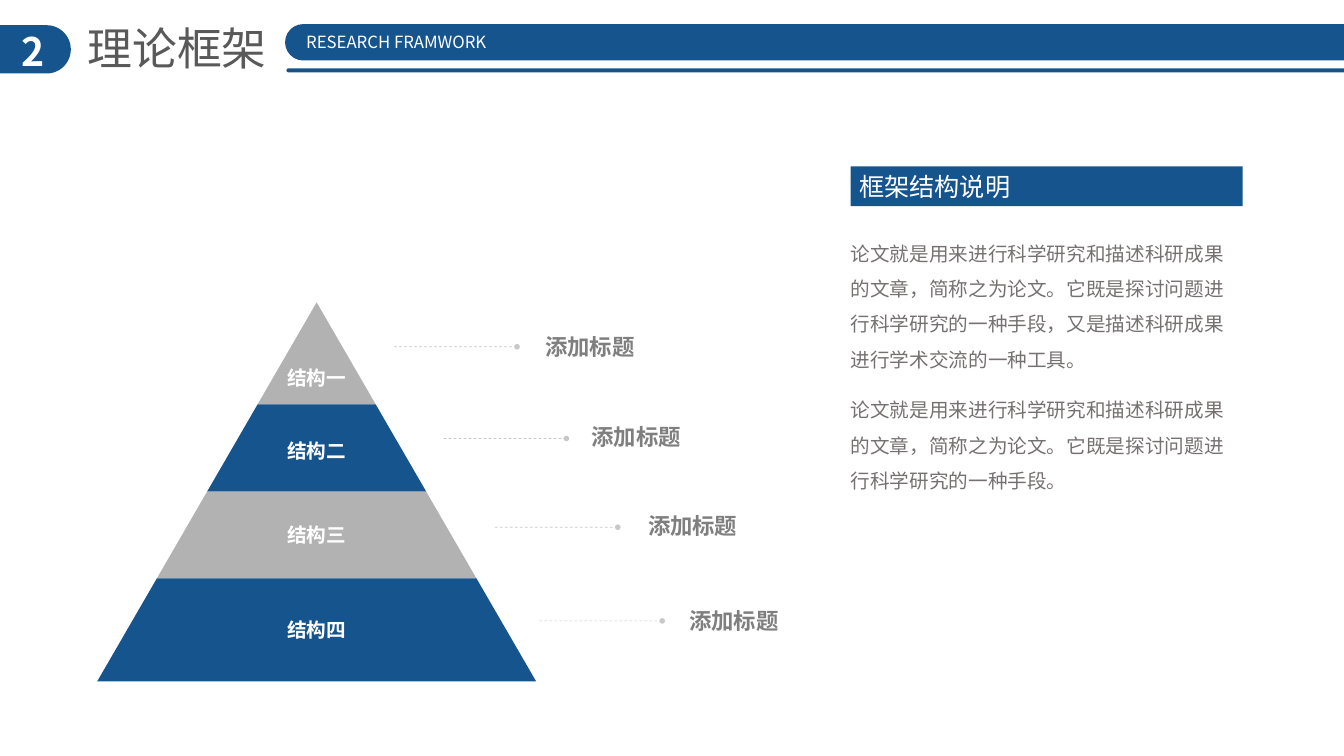
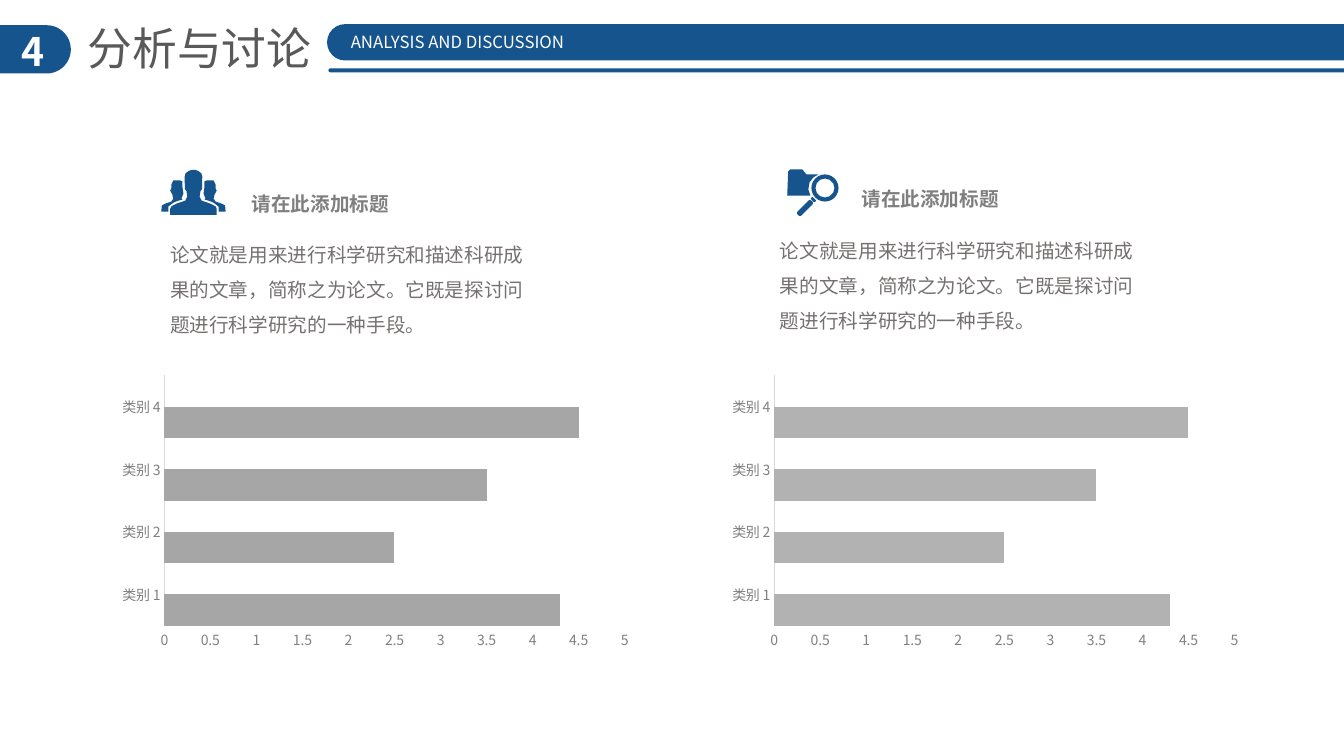
from lxml import etree
from pptx import Presentation
from pptx.chart.data import CategoryChartData
from pptx.dml.color import RGBColor
from pptx.enum.chart import XL_CHART_TYPE, XL_TICK_MARK
from pptx.enum.dml import MSO_LINE
from pptx.enum.shapes import MSO_CONNECTOR, MSO_SHAPE
from pptx.enum.text import MSO_ANCHOR, MSO_AUTO_SIZE, PP_ALIGN
from pptx.oxml.ns import qn
from pptx.util import Pt

RECTANGLE = MSO_SHAPE.RECTANGLE
ROUNDED = MSO_SHAPE.ROUNDED_RECTANGLE
DONUT = MSO_SHAPE.DONUT
STRAIGHT = MSO_CONNECTOR.STRAIGHT
DASH = MSO_LINE.DASH
MIDDLE = MSO_ANCHOR.MIDDLE
FIT_TEXT = MSO_AUTO_SIZE.SHAPE_TO_FIT_TEXT
LEFT, CENTER = PP_ALIGN.LEFT, PP_ALIGN.CENTER
BAR_CLUSTERED = XL_CHART_TYPE.BAR_CLUSTERED
NO_TICK = XL_TICK_MARK.NONE

FONT = "Noto Sans CJK SC"
TITLE_SIZE = 32
BLUE, SILVER, WHITE = "15548D", "B2B2B2", "FFFFFF"
TITLE_GRAY, LABEL_GRAY, BODY_GRAY = "595959", "7F7F7F", "767171"
AXIS_TEXT, AXIS_LINE = "808080", "D9D9D9"

SUMMARY = ("论文就是用来进行科学研究和描述科研成果的文章，简称之为论文。"
           "它既是探讨问题进行科学研究的一种手段")

# Pyramid geometry: apex, half of the base, and the tier boundaries
APEX_X, HALF_BASE = 226.2, 156.8
LEVELS = [216, 288.8, 351.2, 413.2, 486.8]
TIERS = [("结构一", SILVER, 257.8), ("结构二", BLUE, 310.3),
         ("结构三", SILVER, 370.1), ("结构四", BLUE, 437.8)]
# Leader start x and y, then label left and top
LEADERS = [(281.5, 247.7, 382.3, 234.7), (316.8, 313.2, 415.4, 298.8),
           (353.5, 376.6, 455.8, 362.6), (385.2, 443.5, 485.3, 430.3)]
LEADER_LENGTH = 87.8

# Icon outlines; people are measured from the icon's top centre
SIDE_PERSON = [(-7.9, 8.6), (-9.4, 7.9), (-14.4, 7.9), (-15.8, 10.8),
               (-15.8, 13.7), (-16.6, 15.1), (-15.1, 18), (-14.4, 20.9),
               (-15.8, 23), (-20.2, 24.5), (-22.6, 25.7), (-23, 30.2),
               (-18, 30.2), (-18, 26.6), (-14.4, 23.8), (-10.8, 22.3),
               (-7.9, 21.6), (-8.6, 20.9), (-7.2, 17.3), (-7.9, 12.2)]
FRONT_HALF = [(-1.5, 0.4), (-3.6, 1.2), (-5.6, 2.8), (-6.3, 5), (-6.2, 11),
              (-6.2, 14), (-5, 15.5), (-4.4, 19.4), (-5.8, 22.3),
              (-12.2, 24.5), (-15.8, 26.4), (-16.6, 28), (-16.6, 32.4)]
FOLDER = [(562.3, 139.7), (563, 122.4), (564.5, 121), (573.1, 121),
          (576, 124.6), (584.6, 124.6), (581, 126.7), (578.2, 130.3),
          (577.4, 135.4), (578.9, 139.7)]

# The second analysis panel sits to the right and slightly higher
PANEL_STEP, PANEL_RISE = 435.6, 2.9


def color(value):
    return RGBColor.from_string(value)


def add_east_asian_font(element):
    """Give East Asian characters the same font as Latin ones."""
    for latin in list(element.iter(qn("a:latin"))):
        east_asian = etree.Element(qn("a:ea"))
        east_asian.set("typeface", FONT)
        latin.addnext(east_asian)


def paint(shape, fill):
    shape.shadow.inherit = False
    shape.fill.solid()
    shape.fill.fore_color.rgb = color(fill)
    shape.line.fill.background()


def add_block(slide, kind, left, top, width, height, fill=BLUE, adjust=None):
    shape = slide.shapes.add_shape(
        kind, Pt(left), Pt(top), Pt(width), Pt(height))
    paint(shape, fill)
    if adjust is not None:
        shape.adjustments[0] = adjust
    return shape


def add_outline(slide, points, fill=BLUE):
    scaled = [(Pt(x), Pt(y)) for x, y in points]
    builder = slide.shapes.build_freeform(*scaled[0])
    builder.add_line_segments(scaled[1:], close=True)
    paint(builder.convert_to_shape(), fill)


def write(shape, text, size, text_color, bold=False, align=LEFT, spacing=None):
    paragraph = shape.text_frame.paragraphs[0]
    paragraph.alignment = align
    if spacing:
        paragraph.line_spacing = spacing
    run = paragraph.add_run()
    run.text = text
    run.font.name = FONT
    run.font.size = Pt(size)
    run.font.bold = bold
    run.font.color.rgb = color(text_color)
    add_east_asian_font(shape.text_frame._txBody)


def add_text(slide, left, top, width, height, text, size, text_color,
             wrap=False, **style):
    box = slide.shapes.add_textbox(
        Pt(left), Pt(top), Pt(width), Pt(height))
    box.text_frame.word_wrap = wrap
    box.text_frame.auto_size = FIT_TEXT
    write(box, text, size, text_color, **style)


def add_body(slide, left, top, width, height, text):
    add_text(slide, left, top, width, height, text, 14, BODY_GRAY,
             wrap=True, spacing=1.5)


def add_leader(slide, left, y):
    connector = slide.shapes.add_connector(
        STRAIGHT, Pt(left), Pt(y), Pt(left + LEADER_LENGTH), Pt(y))
    line = connector.line
    line.width = Pt(0.5)
    line.color.rgb = color(SILVER)
    line.dash_style = DASH
    properties = connector._element.spPr
    shade = next(properties.iter(qn("a:srgbClr")))
    etree.SubElement(shade, qn("a:alpha")).set("val", "70000")
    dot = etree.SubElement(properties.ln, qn("a:tailEnd"))
    for name, value in (("type", "oval"), ("w", "sm"), ("len", "sm")):
        dot.set(name, value)
    etree.SubElement(properties, qn("a:effectLst"))


def add_header(slide, number, title, bar_left, caption, caption_width):
    add_block(slide, ROUNDED, -20, 18, 70.6, 34.5, adjust=0.5)
    add_text(slide, 5, 15.8, 36.7, 41, number, 28, WHITE,
             wrap=True, bold=True, align=CENTER)
    # One em per character, plus the side margins and a little slack
    title_width = len(title) * TITLE_SIZE + 16.4
    add_text(slide, 55.4, 11.5, title_width, 46, title, TITLE_SIZE, TITLE_GRAY)
    add_block(slide, ROUNDED, bar_left, 17.2, 794, 26, adjust=0.5)
    add_block(slide, ROUNDED, bar_left + 1, 48.8, 794, 2.9, adjust=0.5)
    add_text(slide, bar_left + 3.2, 19.1, caption_width, 21.6, caption,
             12, WHITE, align=CENTER)


def add_pyramid(slide):
    slope = HALF_BASE / (LEVELS[-1] - LEVELS[0])
    for (name, fill, name_top), top, bottom in zip(TIERS, LEVELS, LEVELS[1:]):
        upper, lower = [(y - LEVELS[0]) * slope for y in (top, bottom)]
        add_outline(slide, [(APEX_X - upper, top), (APEX_X + upper, top),
                            (APEX_X + lower, bottom),
                            (APEX_X - lower, bottom)], fill)
        add_text(slide, APEX_X - 28, name_top, 56.8, 24.5, name, 14, WHITE,
                 bold=True)


def add_people_icon(slide, center, top):
    mirrored_half = [(-x, y) for x, y in reversed(FRONT_HALF)]
    mirrored_side = [(-x, y) for x, y in SIDE_PERSON]
    for outline in (SIDE_PERSON, mirrored_side, FRONT_HALF + mirrored_half):
        add_outline(slide, [(center + x, top + y) for x, y in outline])


def add_search_icon(slide):
    add_outline(slide, FOLDER)
    add_block(slide, DONUT, 579.6, 124.6, 19.4, 19.4, adjust=0.15)
    # Handle and collar, both on the same diagonal
    for center_x, center_y, length in ((575, 148.6, 14), (581, 142.6, 2)):
        part = add_block(slide, ROUNDED, center_x - length / 2, center_y - 2,
                         length, 4, adjust=0.4)
        part.rotation = -45


def add_bar_chart(slide, left, fill):
    data = CategoryChartData()
    data.categories = ["类别 1", "类别 2", "类别 3", "类别 4"]
    data.add_series("Series 1", [4.3, 2.5, 3.5, 4.5])
    # Empty series keep the bars in the lower half of each category
    for name in ("Series 2", "Series 3"):
        data.add_series(name, [None] * 4)
    chart = slide.shapes.add_chart(
        BAR_CLUSTERED, Pt(left), Pt(264.2), Pt(376.6), Pt(203.8), data).chart
    chart.has_legend = False
    chart.has_title = False
    chart.font.name = FONT
    chart.font.size = Pt(10)
    chart.font.color.rgb = color(AXIS_TEXT)
    plot = chart.plots[0]
    plot.vary_by_categories = False
    plot.gap_width = 0
    plot.overlap = 50
    bars = plot.series[0].format.fill
    bars.solid()
    bars.fore_color.rgb = color(fill)

    category_axis, value_axis = chart.category_axis, chart.value_axis
    for axis in (category_axis, value_axis):
        axis.major_tick_mark = axis.minor_tick_mark = NO_TICK
        axis.has_major_gridlines = False
    category_axis.format.line.color.rgb = color(AXIS_LINE)
    category_axis.format.line.width = Pt(0.75)
    value_axis.format.line.fill.background()
    value_axis.minimum_scale = 0
    value_axis.maximum_scale = 5
    value_axis.major_unit = 0.5
    add_east_asian_font(chart._chartSpace)


def build_framework(slide):
    for start, y, label_left, label_top in LEADERS:
        add_leader(slide, start, y)
        add_text(slide, label_left, label_top, 79.2, 26.6, "添加标题", 16,
                 LABEL_GRAY, bold=True)
    add_pyramid(slide)

    # Explanation column
    heading = add_block(slide, RECTANGLE, 607.7, 118.8, 280, 28.4)
    heading.text_frame.margin_left = Pt(6)
    heading.text_frame.vertical_anchor = MIDDLE
    write(heading, "框架结构说明", 18, WHITE)
    add_body(slide, 600.5, 160.6, 290, 108.7,
             SUMMARY + "，又是描述科研成果进行学术交流的一种工具。")
    add_body(slide, 600.5, 272.6, 290, 83.5, SUMMARY + "。")

    add_header(slide, "2", "理论框架", 203.6, "RESEARCH FRAMWORK", 152.6)


def build_analysis(slide):
    for index, fill in enumerate(("A6A6A6", SILVER)):
        shift, rise = index * PANEL_STEP, index * PANEL_RISE
        add_bar_chart(slide, 79.9 + shift, fill)
        add_text(slide, 172.6 + shift, 133.2 - rise, 113.8, 24.5,
                 "请在此添加标题", 14, LABEL_GRAY, bold=True)
        add_body(slide, 114.4 + shift, 161.3 - rise, 270, 83.5, SUMMARY + "。")
    add_people_icon(slide, 138.2, 121)
    add_search_icon(slide)

    add_header(slide, "4", "分析与讨论", 233.6, "ANALYSIS AND DISCUSSION", 180)


def main():
    presentation = Presentation()
    presentation.slide_width = Pt(960)
    presentation.slide_height = Pt(540)
    blank = presentation.slide_layouts[6]
    for build in (build_framework, build_analysis):
        build(presentation.slides.add_slide(blank))
    presentation.save("out.pptx")


if __name__ == "__main__":
    main()
